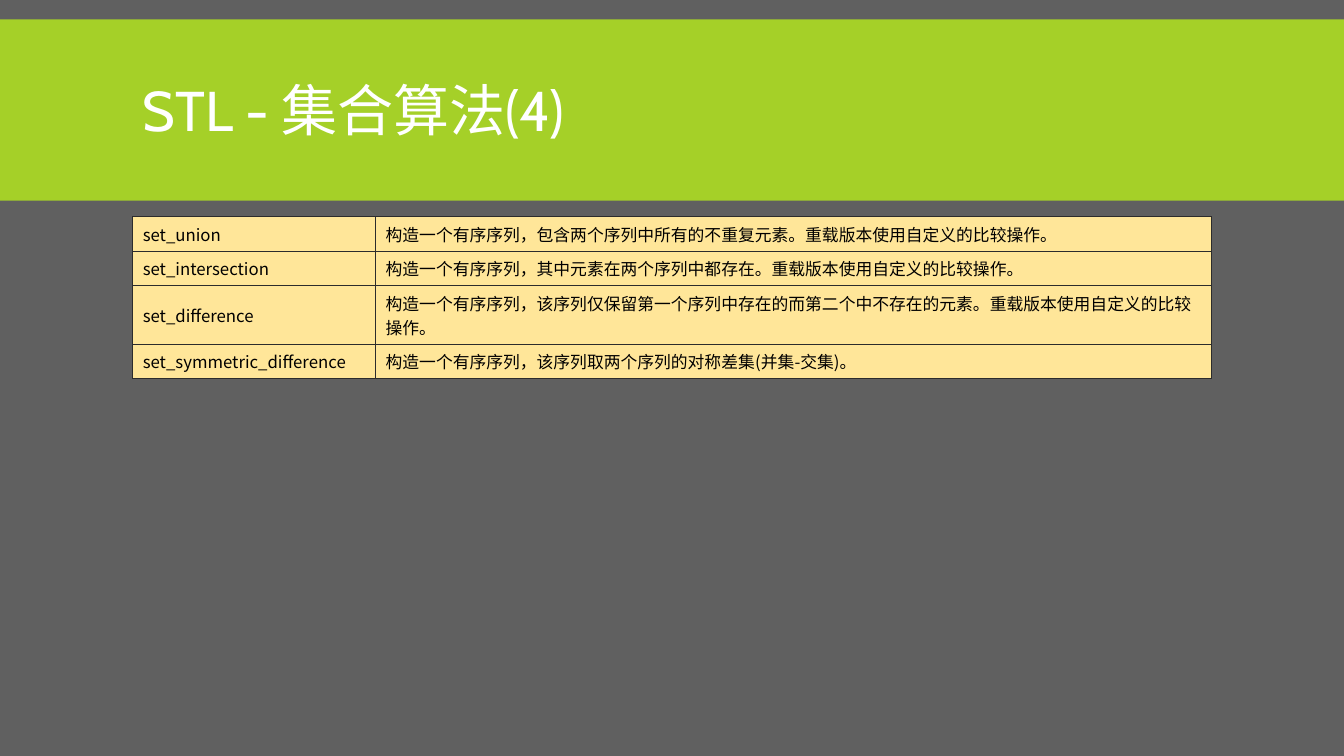
import pptx
import pptx.dml.color
import pptx.enum.shapes
import pptx.enum.text
import pptx.oxml
import pptx.oxml.ns
import pptx.util
from lxml import etree

Pt = pptx.util.Pt
RGB = pptx.dml.color.RGBColor.from_string
MIDDLE = pptx.enum.text.MSO_ANCHOR.MIDDLE
qn = pptx.oxml.ns.qn

COLORS = {
    "background": "606060",
    "banner": "A5D028",
    "title": "FFFFFF",
    "cell": "FFE699",
    "text": "000000",
    "border": "2C2C2C",
}
CJK_FONT = "Noto Sans CJK SC"
LEFT, WIDTH = 94.8, 770.4


def write_text(frame, text, *, size, color, font, line_spacing=1.0):
    frame.word_wrap = True
    para = frame.paragraphs[0]
    para.line_spacing = line_spacing
    span = para.add_run()
    span.text = text
    span.font.size = Pt(size)
    span.font.name = font
    span.font.color.rgb = RGB(COLORS[color])
    east_asian = etree.SubElement(span.font._element, qn("a:ea"))
    east_asian.set("typeface", CJK_FONT)


def add_borders(cell):
    properties = cell._tc.get_or_add_tcPr()
    for index, side in enumerate(("lnL", "lnR", "lnT", "lnB")):
        line = etree.Element(qn(f"a:{side}"), w=str(Pt(1)))
        fill = etree.SubElement(line, qn("a:solidFill"))
        etree.SubElement(fill, qn("a:srgbClr"), val=COLORS["border"])
        properties.insert(index, line)


deck = pptx.Presentation()
deck.slide_width = Pt(960)
deck.slide_height = Pt(540)
page = deck.slides.add_slide(deck.slide_layouts[6])
page.background.fill.solid()
page.background.fill.fore_color.rgb = RGB(COLORS["background"])

# Banner
banner = page.shapes.add_shape(
    pptx.enum.shapes.MSO_SHAPE.RECTANGLE, Pt(0), Pt(13.8), Pt(960), Pt(129.6))
banner.shadow.inherit = False
banner.fill.solid()
banner.fill.fore_color.rgb = RGB(COLORS["banner"])
banner.line.fill.background()

# Title
title = page.shapes.add_textbox(Pt(LEFT), Pt(22.3), Pt(WIDTH), Pt(118.8))
title.text_frame.vertical_anchor = MIDDLE
write_text(title.text_frame, "STL - 集合算法(4)", size=40, color="title",
           font="Cabin", line_spacing=0.85)

# Table of set algorithms: name, description, lines of text
ALGORITHMS = [
    ("set_union",
     "构造一个有序序列，包含两个序列中所有的不重复元素。重载版本使用自定义的比较操作。", 1),
    ("set_intersection",
     "构造一个有序序列，其中元素在两个序列中都存在。重载版本使用自定义的比较操作。", 1),
    ("set_difference",
     "构造一个有序序列，该序列仅保留第一个序列中存在的而第二个中不存在的元素。"
     "重载版本使用自定义的比较操作。", 2),
    ("set_symmetric_difference",
     "构造一个有序序列，该序列取两个序列的对称差集(并集-交集)。", 1),
]
LINE_HEIGHT, ROW_PADDING = 17.5, 7.1
NAME_WIDTH = 173.5

heights = [LINE_HEIGHT * lines + ROW_PADDING for *_, lines in ALGORITHMS]
table = page.shapes.add_table(
    len(ALGORITHMS), 2, Pt(LEFT), Pt(154.8), Pt(WIDTH), Pt(sum(heights))).table
table.first_row = False
table.horz_banding = False
table.columns[0].width = Pt(NAME_WIDTH)
table.columns[1].width = Pt(WIDTH - NAME_WIDTH)

for row, height, (*texts, lines) in zip(table.rows, heights, ALGORITHMS):
    row.height = Pt(height)
    for cell, text in zip(row.cells, texts):
        cell.vertical_anchor = MIDDLE
        cell.fill.solid()
        cell.fill.fore_color.rgb = RGB(COLORS["cell"])
        add_borders(cell)
        write_text(cell.text_frame, text, size=12, color="text", font=CJK_FONT)

deck.save("out.pptx")
